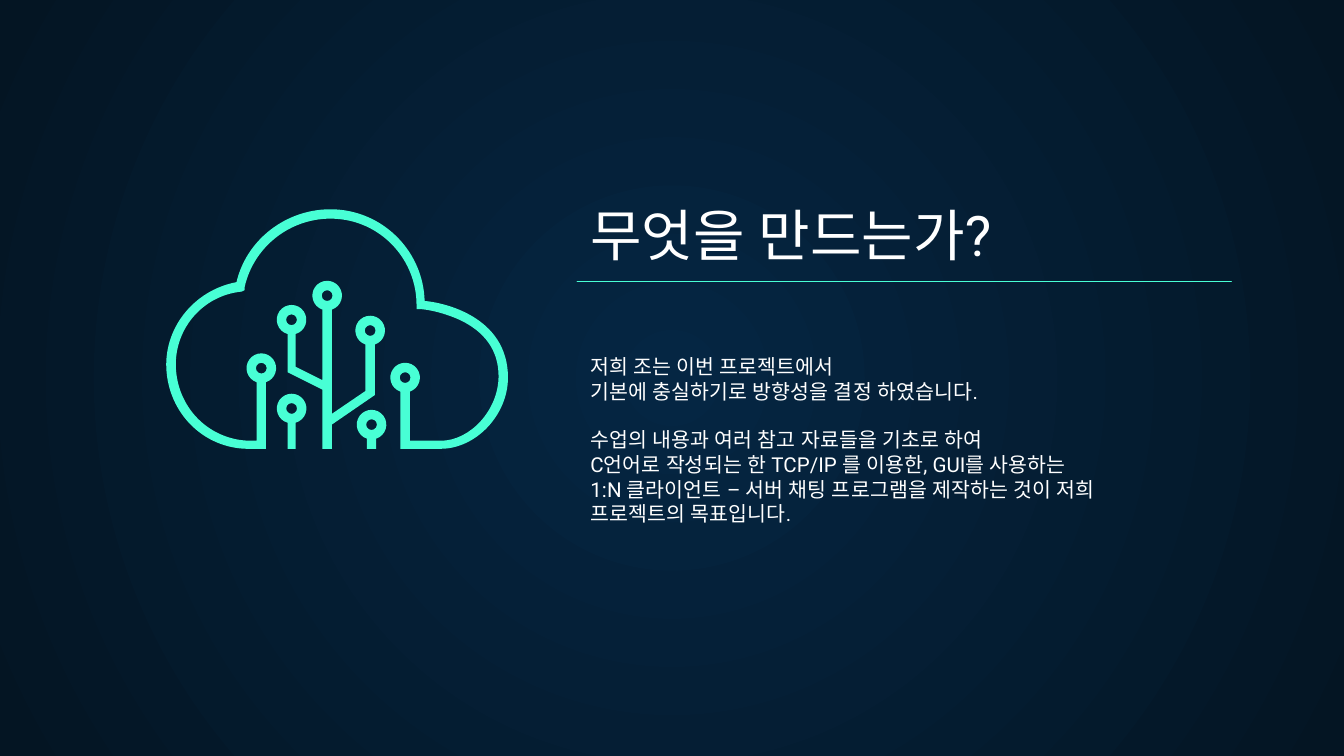
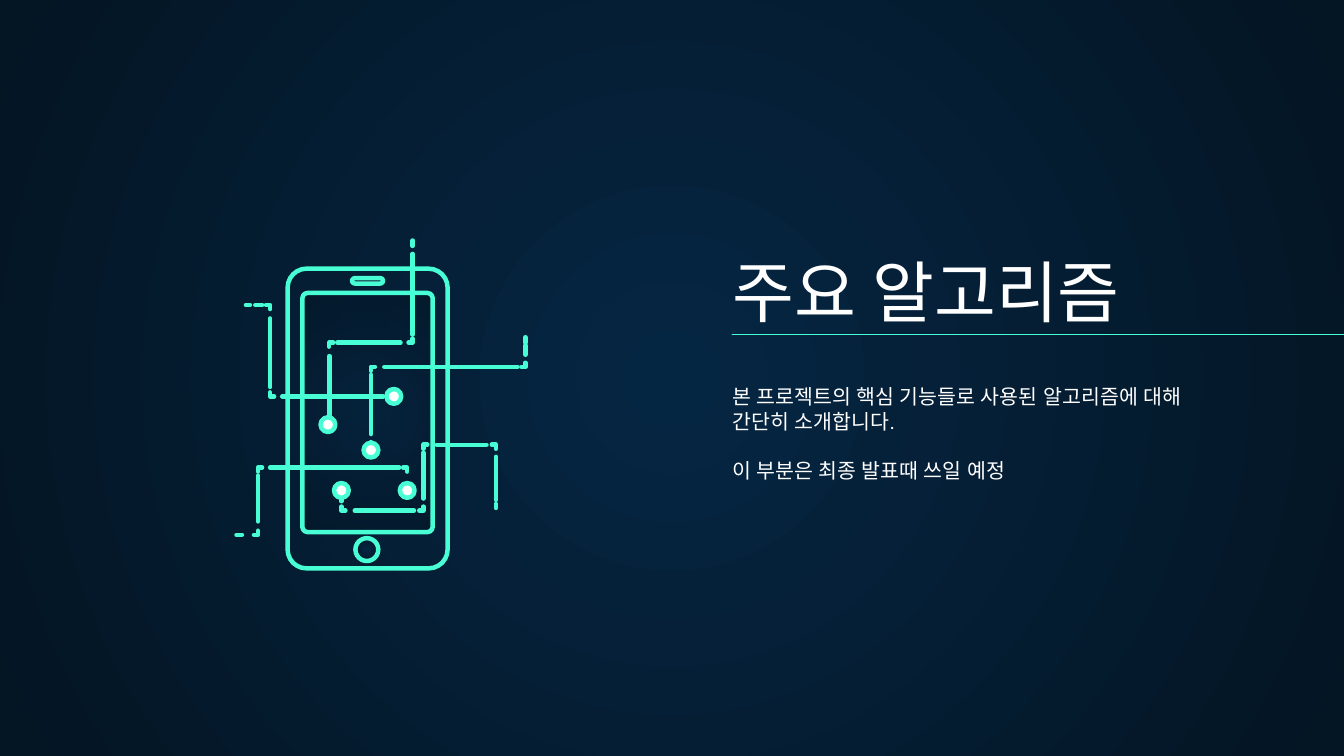
from dataclasses import dataclass
from math import asin, cos, pi, sin, tan
from typing import Callable

from lxml.etree import SubElement
from pptx import Presentation
from pptx.dml.color import RGBColor
from pptx.enum.lang import MSO_LANGUAGE_ID
from pptx.enum.shapes import MSO_CONNECTOR, MSO_SHAPE
from pptx.enum.text import MSO_ANCHOR
from pptx.oxml import parse_xml
from pptx.oxml.ns import nsdecls, qn
from pptx.util import Cm, Pt

# Shared look
FONT = "Roboto"
MINT, WHITE, DARK = "48FFD5", "FFFFFF", "161234"
GLOW, NIGHT = "052643", "041523"
PEN = 2.4
ARM = 0.03
BULB, HOLE = 0.11, 0.04

Point = tuple[float, float]


@dataclass(frozen=True)
class Copy:
    """Title, rule and body text of one slide, in centimetres."""
    title: str
    size: int
    head: Point
    rule: tuple[float, float, float]
    body: tuple[float, float, float, float]
    lines: tuple[str, ...]
    gap: int  # index of the line that opens a new block


@dataclass(frozen=True)
class Node:
    """Pierced round end, centred between the two sides of its stem."""
    y: float


@dataclass(frozen=True)
class Curve:
    """Bezier step: two control points and the end, in inches."""
    one: Point
    two: Point
    end: Point


@dataclass(frozen=True)
class Trace:
    """Broken circuit line in inches: corners, dashes on each leg, dot."""
    route: tuple[Point, ...]
    legs: tuple[tuple[Point, ...], ...]
    dot: Point


@dataclass(frozen=True)
class Panel:
    """Rounded part of the phone, in inches."""
    left: float
    top: float
    width: float
    height: float
    radius: float
    fill: str


COPY = (
    Copy("무엇을 만드는가?", 30, (10.91, 3.63), (10.91, 23.27, 5.32),
         (10.91, 6.44, 10.54, 5.61),
         ("저희 조는 이번 프로젝트에서",
          "기본에 충실하기로 방향성을 결정 하였습니다.",
          "수업의 내용과 여러 참고 자료들을 기초로 하여",
          "C언어로 작성되는 한 TCP/IP 를 이용한, GUI를 사용하는",
          "1:N 클라이언트 – 서버 채팅 프로그램을 제작하는 것이 저희 프로젝트의 목표입니다."),
         2),
    Copy("주요 알고리즘", 36, (13.59, 4.83), (13.84, 25.4, 6.32),
         (13.59, 7.01, 9.6, 3.94),
         ("본 프로젝트의 핵심 기능들로 사용된 알고리즘에 대해 간단히 소개합니다.",
          "이 부분은 최종 발표때 쓰일 예정"),
         1),
)

TREE = ((2.79, 2.94), Node(2.46), (2.72, 2.91), (2.47, 3.08),
        Node(2.2), (2.4, 2.83), (2.2, 2.73), Node(2.38),
        (2.14, 2.77), (2.4, 2.9), (2.4, 3.34), (2.47, 3.34), (2.47, 3.16))
CLOUD = (
    (3.16, 2.24),
    Curve((3.15, 1.88), (2.87, 1.59), (2.52, 1.56)),
    Curve((2.17, 1.53), (1.84, 1.76), (1.76, 2.1)),
    Curve((1.44, 2.16), (1.21, 2.45), (1.24, 2.77)),
    Curve((1.27, 3.1), (1.54, 3.35), (1.87, 3.34)),
    (1.98, 3.34), Node(2.74), (1.91, 3.28), (1.87, 3.28),
    Curve((1.57, 3.28), (1.33, 3.05), (1.31, 2.75)),
    Curve((1.29, 2.46), (1.5, 2.2), (1.8, 2.17)),
    (1.82, 2.16), (1.82, 2.14),
    Curve((1.89, 1.82), (2.19, 1.6), (2.52, 1.63)),
    Curve((2.85, 1.66), (3.1, 1.94), (3.1, 2.27)),
    (3.1, 2.3), (3.13, 2.3),
    Curve((3.23, 2.31), (3.33, 2.34), (3.42, 2.38)),
    Curve((3.61, 2.47), (3.71, 2.61), (3.71, 2.8)),
    Curve((3.71, 3.05), (3.5, 3.28), (3.28, 3.28)),
    (3.05, 3.28), Node(2.81), (2.98, 3.34), (3.28, 3.34),
    Curve((3.54, 3.34), (3.78, 3.09), (3.78, 2.81)),
    Curve((3.78, 2.35), (3.29, 2.25), (3.16, 2.24)),
)
SPROUTS = tuple(((right, 3.34), Node(y), (left, 3.34))
                for left, right, y in ((2.14, 2.2, 3.04), (2.73, 2.8, 3.16)))

PANELS = (
    Panel(2.14, 2, 1.19, 2.23, 0.14, ""),
    Panel(2.25, 2.18, 0.97, 1.78, 0.04, GLOW),
    Panel(2.62, 2.07, 0.23, 0.04, 0.02, DARK),
)
TRACES = (
    Trace(((2.54, 3.7), (2.54, 3.8), (3.15, 3.8), (3.15, 3.31), (3.69, 3.31), (3.69, 3.78)),
          (((3.7, 3.73),), ((2.64, 3.08),), ((3.71, 3.37),), ((3.25, 3.62),),
           ((3.4, 3.72), (3.75, 3.78))), (2.54, 3.65)),
    Trace(((1.83, 2.27), (2.01, 2.27), (2.01, 2.95), (2.91, 2.95)),
          (((1.83, 1.86), (1.9, 1.95)), ((2.37, 2.88),), ((2.1, 2.85), (2.88, 2.91))),
          (2.93, 2.95)),
    Trace(((1.76, 3.98), (1.92, 3.98), (1.92, 3.48), (3.03, 3.48), (3.03, 3.63)),
          (((1.76, 1.8),), ((3.88, 3.54),), ((2.01, 2.97),), ((3.6, 3.63),)),
          (3.03, 3.65)),
    Trace(((2.76, 3.32), (2.76, 2.73), (3.91, 2.73), (3.91, 2.51)),
          (((3.32, 3.29), (3.23, 2.79)), ((2.86, 3.85),), ((2.64, 2.57), (2.55, 2.51))),
          (2.76, 3.35)),
    Trace(((3.07, 1.79), (3.07, 2.55), (2.45, 2.55), (2.45, 3.16)),
          (((1.79, 1.83), (1.89, 2.49)), ((2.98, 2.51),), ((2.65, 3.09), (3.12, 3.16))),
          (2.44, 3.16)),
)


# Units, colour and line
def inch(size: float) -> Cm:
    return Cm(size * 2.54)


def tint(code: str) -> RGBColor:
    return RGBColor.from_string(code)


def glow(props, alpha: int = 100) -> None:
    """Replace the empty fill of the properties by the round gradient."""
    stops = "".join(
        f'<a:gs pos="{pos}"><a:srgbClr val="{code}">'
        f'<a:alpha val="{alpha * 1000}"/></a:srgbClr></a:gs>'
        for pos, code in ((0, GLOW), (100000, NIGHT)))
    grad = parse_xml(
        f'<a:gradFill {nsdecls("a")} rotWithShape="1"><a:gsLst>{stops}</a:gsLst>'
        '<a:path path="circle"><a:fillToRect l="50000" t="50000" r="50000" b="50000"/>'
        '</a:path></a:gradFill>')
    props.replace(props.find(qn("a:noFill")), grad)


def stroke(shape, width: float = PEN) -> None:
    shape.line.color.rgb = tint(MINT)
    shape.line.width = Pt(width)
    shape._element.spPr.find(qn("a:ln")).set("cap", "rnd")


def paint(shape, fill: str = "") -> None:
    shape.shadow.inherit = False
    if fill:
        shape.fill.solid()
        shape.fill.fore_color.rgb = tint(fill)
    else:
        shape.fill.background()


def draw_line(slide, start: Point, end: Point, width: float = PEN,
              unit: Callable[[float], Cm] = inch) -> None:
    line = slide.shapes.add_connector(
        MSO_CONNECTOR.STRAIGHT, *(unit(v) for v in start + end))
    stroke(line, width)
    SubElement(line._element.spPr, qn("a:effectLst"))


# Text
def write(slide, box: tuple[float, ...], lines: tuple[str, ...], size: int,
          anchor: MSO_ANCHOR, gap: int = 0) -> None:
    frame = slide.shapes.add_textbox(*(Cm(v) for v in box)).text_frame
    frame.word_wrap = True
    frame.vertical_anchor = anchor
    frame.margin_left = frame.margin_right = Cm(0.25)
    frame.margin_top = frame.margin_bottom = Cm(0.25)
    for i, line in enumerate(lines):
        para = frame.paragraphs[0] if i == 0 else frame.add_paragraph()
        para.text = line
        para.runs[0].font.language_id = MSO_LANGUAGE_ID.KOREAN
        para.font.size = Pt(size)
        para.font.name = FONT
        para.font.color.rgb = tint(WHITE)
        SubElement(para._p.pPr.find(qn("a:defRPr")), qn("a:ea"), typeface=FONT)
        if gap and i == gap:
            para.space_before = Pt(13)


def add_page(deck, copy: Copy):
    slide = deck.slides.add_slide(deck.slide_layouts[6])
    slide.background.fill.background()
    glow(slide._element.cSld.bg.bgPr)
    write(slide, copy.head + (9.8, 1.68), (copy.title,), copy.size, MSO_ANCHOR.BOTTOM)
    write(slide, copy.body, copy.lines, 11, MSO_ANCHOR.TOP, copy.gap)
    left, right, top = copy.rule
    draw_line(slide, (left, top), (right, top), 0.75, Cm)
    return slide


# Outlines
def arc(hub: Point, radius: float, start: float, sweep: float) -> list:
    """First point of a counterclockwise arc, then three curves."""
    def spot(turn: float, pull: float = 0) -> Point:
        return (hub[0] + radius * (cos(turn) + pull * sin(turn)),
                hub[1] + radius * (sin(turn) - pull * cos(turn)))

    step = sweep / 3
    pull = 4 / 3 * tan(step / 4)
    turns = [start - step * i for i in range(4)]
    return [spot(start)] + [Curve(spot(a, pull), spot(b, -pull), spot(b))
                            for a, b in zip(turns, turns[1:])]


def expand(steps: tuple) -> list[list]:
    """Turn steps into one outer ring and the holes of its nodes."""
    outer, holes = [], []
    for i, step in enumerate(steps):
        if isinstance(step, Node):
            right, left = steps[i - 1][0], steps[i + 1][0]
            hub = ((left + right) / 2, step.y)
            slit = asin((right - left) / 2 / BULB)
            outer += arc(hub, BULB, pi / 2 - slit, 2 * pi - 2 * slit)
            holes.append(arc(hub, HOLE, 0, 2 * pi))
        else:
            outer.append(step)
    return [outer] + holes


def draw_free(shapes, rings: list[list], close: bool):
    """Lay all points as lines, then join the points of each curve."""
    pen, bends = None, []
    for ring in rings:
        spots = []
        for step in ring[1:]:
            curved = isinstance(step, Curve)
            spots += [step.one, step.two, step.end] if curved else [step]
            bends.append(curved)
        first = [inch(v) for v in ring[0]]
        if pen is None:
            pen = shapes.build_freeform(*first)
        else:
            pen.move_to(*first)
        pen.add_line_segments([(inch(x), inch(y)) for x, y in spots], close=close)
    shape = pen.convert_to_shape()
    lines = iter(list(shape._element.iter(qn("a:lnTo"))))
    for curved in bends:
        head = next(lines)
        if curved:
            head.tag = qn("a:cubicBezTo")
            for extra in (next(lines), next(lines)):
                head.append(extra[0])
                extra.getparent().remove(extra)
    return shape


def draw_cloud(slide) -> None:
    group = slide.shapes.add_group_shape()
    for steps in (TREE, CLOUD, *SPROUTS):
        shape = draw_free(group.shapes, expand(steps), True)
        paint(shape, MINT)
        shape.line.fill.background()


# Phone
def draw_dot(slide, spot: Point, radius: float, fill: str = ""):
    x, y = spot
    dot = slide.shapes.add_shape(
        MSO_SHAPE.OVAL, inch(x - radius), inch(y - radius),
        inch(2 * radius), inch(2 * radius))
    paint(dot, fill)
    stroke(dot)
    return dot


def draw_panel(slide, panel: Panel) -> None:
    box = (panel.left, panel.top, panel.width, panel.height)
    shape = slide.shapes.add_shape(
        MSO_SHAPE.ROUNDED_RECTANGLE, *(inch(v) for v in box))
    shape.adjustments[0] = panel.radius / min(panel.width, panel.height)
    paint(shape, "" if panel.fill == GLOW else panel.fill)
    if panel.fill == GLOW:
        glow(shape._element.spPr, 53)
    stroke(shape)


def toward(spot: Point, goal: Point) -> Point:
    """Point one arm away from a corner, on the way to the next one."""
    return tuple(a + ARM * ((b > a) - (b < a)) for a, b in zip(spot, goal))


def draw_trace(slide, trace: Trace) -> None:
    route = trace.route
    for start, end, dashes in zip(route, route[1:], trace.legs):
        for a, b in dashes:
            if start[0] == end[0]:
                draw_line(slide, (start[0], a), (start[0], b))
            else:
                draw_line(slide, (a, start[1]), (b, start[1]))
    for prior, spot, after in zip(route, route[1:], route[2:]):
        elbow = [toward(spot, prior), spot, toward(spot, after)]
        shape = draw_free(slide.shapes, [elbow], False)
        paint(shape)
        stroke(shape)
    draw_dot(slide, trace.dot, 0.055, WHITE)


def draw_phone(slide) -> None:
    for panel in PANELS:
        draw_panel(slide, panel)
    home = draw_dot(slide, (2.73, 4.09), 0.085)
    glow(home._element.spPr)
    for trace in TRACES:
        draw_trace(slide, trace)


def main() -> None:
    deck = Presentation()
    deck.slide_width, deck.slide_height = Cm(25.4), Cm(14.29)
    for copy, draw in zip(COPY, (draw_cloud, draw_phone)):
        draw(add_page(deck, copy))
    deck.save("out.pptx")


if __name__ == "__main__":
    main()
